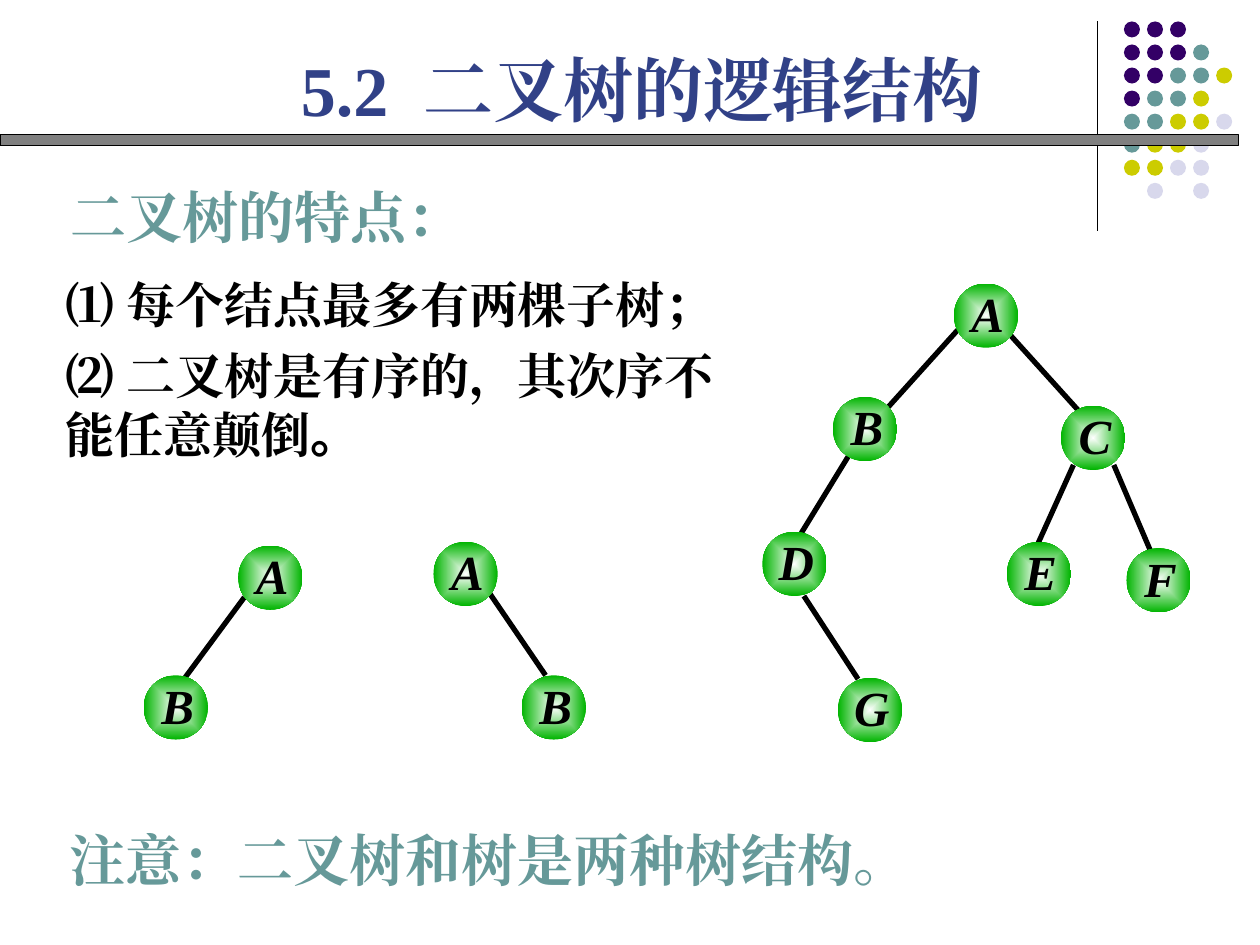
from lxml.etree import SubElement
from pptx import Presentation
from pptx.dml.color import RGBColor
from pptx.enum.shapes import MSO_CONNECTOR, MSO_SHAPE
from pptx.enum.text import PP_ALIGN
from pptx.oxml.ns import qn
from pptx.util import Inches, Pt

rgb = RGBColor.from_string
deck = Presentation()
deck.slide_width, deck.slide_height = Inches(10), Inches(7.5)
page = deck.slides.add_slide(deck.slide_layouts[6])
UNIT = deck.slide_width // 100  # grid of 100 columns by 75 rows


def grid(*cells):
    return [round(cell * UNIT) for cell in cells]


def write(cells, paragraphs, size, color, insets, align=None, italic=False, before=0):
    """Add a text box; each paragraph is a list of (text, font, letter spacing)."""
    box = page.shapes.add_textbox(*grid(*cells))
    frame = box.text_frame
    frame.word_wrap = True
    (frame.margin_left, frame.margin_top,
     frame.margin_right, frame.margin_bottom) = grid(*insets)
    for index, spans in enumerate(paragraphs):
        para = frame.add_paragraph() if index else frame.paragraphs[0]
        if index:
            para.space_before = Pt(before)
        if align is not None:
            para.alignment = align
        for text, typeface, spacing in spans:
            span = para.add_run()
            span.text = text
            font = span.font
            font.name, font.size = typeface, Pt(size)
            font.bold, font.italic = True, italic
            font.color.rgb = rgb(color)
            properties = span._r.get_or_add_rPr()
            SubElement(properties, qn("a:ea")).set("typeface", typeface)
            if spacing:
                properties.set("spc", str(spacing * 100))


SERIF, SANS = "Times New Roman", "Noto Sans CJK SC"
BLACK, TEAL = "000000", "669999"

# Straight lines: corner rule first, then the tree edges
edges = [
    (76, 26.2, 70.5, 32.3), (80.1, 26.5, 85.7, 32.7), (67.4, 36.1, 63.6, 42.3),
    (63.8, 47.3, 68.1, 53.9), (85.2, 36.9, 82.4, 43.1), (88.4, 36.9, 91.3, 43.7),
    (19.4, 47.4, 14.6, 53.9), (38.8, 47, 43.3, 53.6),
]
for weight, ends in [(0.75, (87.1, 1.7, 87.1, 18.3))] + [(3, edge) for edge in edges]:
    line = page.shapes.add_connector(MSO_CONNECTOR.STRAIGHT, *grid(*ends))
    line.line.color.rgb = rgb(BLACK)
    line.line.width = Pt(weight)
    SubElement(line._element.spPr, qn("a:effectLst"))

# Corner dots: one letter per dot, a blank for a gap
dot_colors = {"P": "330066", "T": TEAL, "Y": "CCCC00", "L": "D8D8EC"}
dot_rows = ["PPP", "PPPT", "PPTTY", "PTTY", "TTYYL", "TYYL", "YYLL", " L L"]
for row, letters in enumerate(dot_rows):
    for column, letter in enumerate(letters):
        if letter in dot_colors:
            dot = page.shapes.add_shape(MSO_SHAPE.OVAL, *grid(
                89.2 + 1.83 * column, 1.7 + 1.83 * row, 1.27, 1.27))
            dot.shadow.inherit = False
            dot.fill.solid()
            dot.fill.fore_color.rgb = rgb(dot_colors[letter])
            dot.line.fill.background()

# Bar under the title
bar = page.shapes.add_shape(MSO_SHAPE.RECTANGLE, *grid(0, 10.7, 98.3, 0.84))
bar.shadow.inherit = False
bar.fill.solid()
bar.fill.fore_color.rgb = rgb("808080")
bar.line.color.rgb = rgb(BLACK)
bar.line.width = Pt(0.75)

# Title, heading, points and closing note
wide = (1, 0.5, 1, 0.5)
write((22.9, 3.2, 63.8, 7.7),
      [[("5.2", SERIF, 0), (" ", SERIF, 10), ("二叉树的逻辑结构", SERIF, 0)]],
      40, "314187", wide, PP_ALIGN.JUSTIFY)
write((4.6, 14, 39.2, 6.4), [[("二叉树的特点：", SERIF, 0)]], 32, TEAL, wide)
write((5.2, 21.3, 52.7, 16),
      [[("⑴ 每个结点最多有两棵子树；", SERIF, 0)],
       [("⑵ 二叉树是有序的，其次序不能任意颠倒", SERIF, 0), ("。", SANS, 0)]],
      28, BLACK, (0, 0.5, 0, 0.5), before=7)
write((4.5, 65, 77.4, 6.4), [[("注意：二叉树和树是两种树结构。", SERIF, 0)]],
      32, TEAL, wide, PP_ALIGN.JUSTIFY)

# Tree nodes: letter, left, top
nodes = [
    ("A", 75.7, 22.5), ("B", 66.1, 31.5), ("C", 84.2, 32.2), ("D", 60.5, 42.2),
    ("E", 79.9, 43), ("F", 89.4, 43.5), ("G", 66.5, 53.8),
    ("A", 18.9, 43.3), ("B", 11.4, 53.6), ("A", 34.4, 43), ("B", 41.4, 53.6),
]
for letter, left, top in nodes:
    node = page.shapes.add_shape(MSO_SHAPE.OVAL, *grid(left, top, 5.1, 5.1))
    node.shadow.inherit = False
    node.line.fill.background()
    node.fill.gradient()
    for stop, color in zip(node.fill.gradient_stops, ("FFFFFF", "00B400")):
        stop.color.rgb = rgb(color)
    gradient = node._element.spPr.find(qn("a:gradFill"))
    gradient.remove(gradient.find(qn("a:lin")))
    center = SubElement(SubElement(gradient, qn("a:path"), {"path": "rect"}),
                        qn("a:fillToRect"))
    for side in "ltrb":
        center.set(side, "50000")
    write((left + 0.55, top - 0.4, 4.3, 6.7), [[(letter, SERIF, 0)]], 28, BLACK,
          (0, 0.4, 0, 0), PP_ALIGN.CENTER, italic=True)

deck.save("out.pptx")
